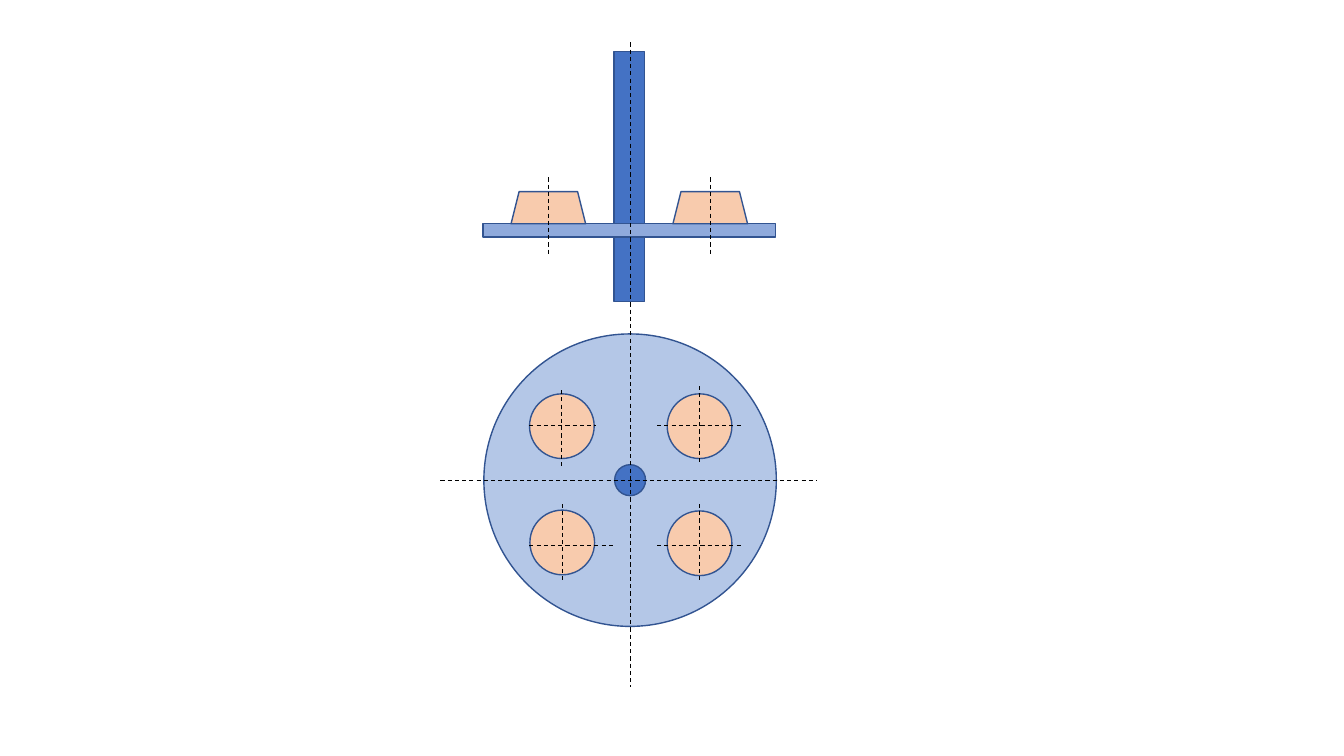
import pptx
import pptx.dml.color
import pptx.enum.dml
import pptx.enum.shapes
import pptx.util
from lxml import etree

Cm = pptx.util.Cm
Pt = pptx.util.Pt
SHAPE = pptx.enum.shapes.MSO_SHAPE

COLORS = {
    "shaft": "4472C4",
    "plate": "8FAADC",
    "disc": "B4C7E7",
    "cup": "F8CBAD",
    "outline": "325491",
    "axis": "000000",
}


class Drawing:
    """Style and current slide of a technical drawing, measured in cm."""

    def __init__(self, prs):
        """Add a blank slide with one group to draw in."""
        self.slide = prs.slides.add_slide(prs.slide_layouts[6])
        self.shapes = self.slide.shapes.add_group_shape().shapes

    def rgb(self, name):
        """Look up a colour by name."""
        return pptx.dml.color.RGBColor.from_string(COLORS[name])

    def solid(self, kind, x, y, w, h, color):
        """Draw an outlined, filled preset shape."""
        sp = self.shapes.add_shape(kind, Cm(x), Cm(y), Cm(w), Cm(h))
        sp.shadow.inherit = False
        sp.fill.solid()
        sp.fill.fore_color.rgb = self.rgb(color)
        sp.line.color.rgb = self.rgb("outline")
        sp.line.width = Pt(1)

    def circle(self, cx, cy, d, color):
        """Draw a circle around its centre."""
        self.solid(SHAPE.OVAL, cx - d / 2, cy - d / 2, d, d, color)

    def axis(self, x1, y1, x2, y2):
        """Draw a thin dashed centre line."""
        line = self.shapes.add_connector(
            pptx.enum.shapes.MSO_CONNECTOR.STRAIGHT, Cm(x1), Cm(y1), Cm(x2), Cm(y2))
        line.line.color.rgb = self.rgb("axis")
        line.line.width = Pt(0.75)
        line.line.dash_style = pptx.enum.dml.MSO_LINE.DASH
        etree.SubElement(line._element.spPr, pptx.oxml.ns.qn("a:effectLst"))


def side_view(d):
    """Draw the shaft, the plate and the two cups standing on it."""
    d.solid(SHAPE.RECTANGLE, 15.47, 1.3, 0.78, 6.3, "shaft")
    d.solid(SHAPE.RECTANGLE, 12.17, 5.64, 7.37, 0.33, "plate")
    cup_w = 1.88
    for cx in (13.82, 17.9):
        d.solid(SHAPE.TRAPEZOID, cx - cup_w / 2, 4.83, cup_w, 0.81, "cup")
        d.axis(cx, 4.47, cx, 6.45)


def top_view(d, cx, cy):
    """Draw the disc with its hub and four cups, and their centre lines."""
    d.circle(cx, cy, 7.37, "disc")
    d.circle(cx, cy, 0.78, "shaft")
    # cup centre, top of upright line, then y and ends of level line
    cups = [
        (14.16, 10.74, 9.83, 10.72, 13.34, 15.01),
        (17.63, 10.74, 9.73, 10.72, 16.56, 18.67),
        (14.17, 13.67, 12.7, 13.74, 13.34, 15.44),
        (17.63, 13.69, 12.7, 13.74, 16.56, 18.67),
    ]
    for x, y, top, level, left, right in cups:
        d.circle(x, y, 1.63, "cup")
        d.axis(x, top, x, top + 1.98)
        d.axis(left, level, right, level)


prs = pptx.Presentation()
prs.slide_width, prs.slide_height = Cm(33.87), Cm(19.05)
drawing = Drawing(prs)
center_x, center_y = 15.88, 12.1
side_view(drawing)
top_view(drawing, center_x, center_y)
drawing.axis(11.1, center_y, 20.6, center_y)
drawing.axis(center_x, 1.07, center_x, 17.3)
prs.save("out.pptx")
